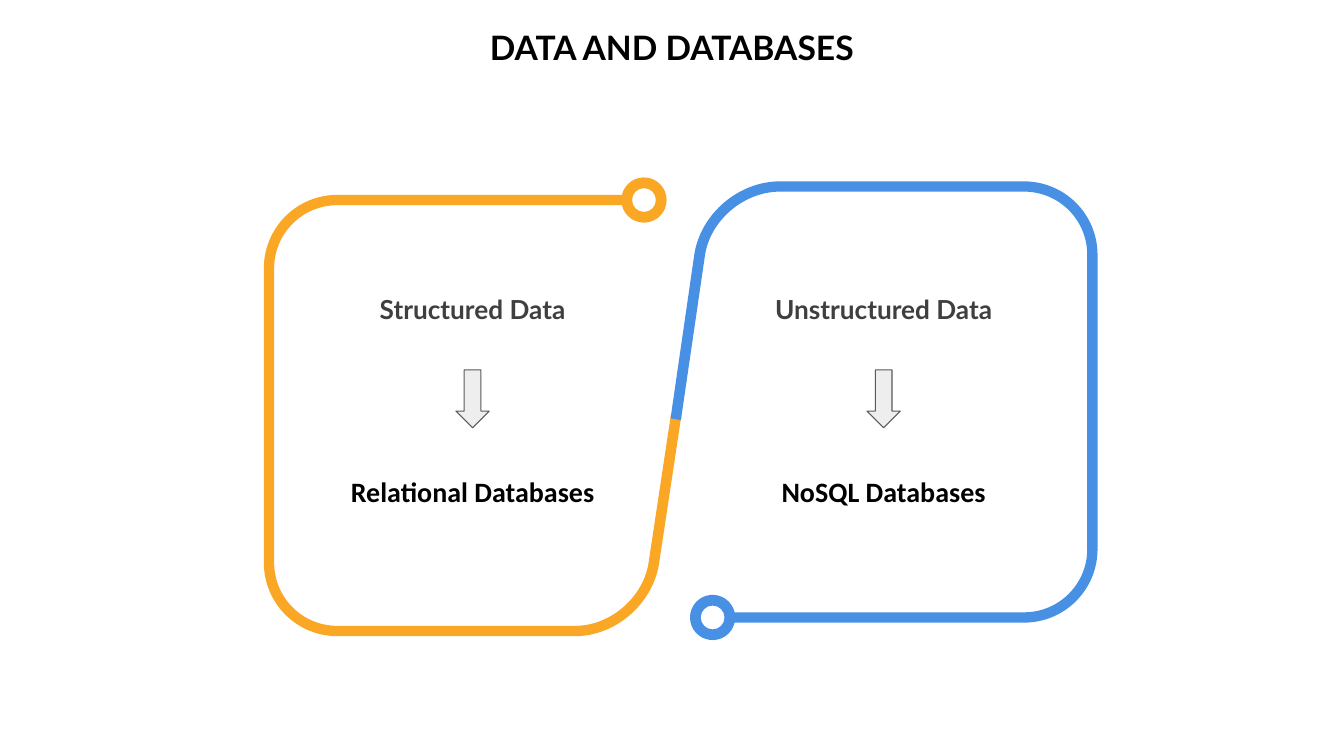
from math import asin, cos, pi, sin, tan

from pptx import Presentation
from pptx.dml.color import RGBColor
from pptx.enum.shapes import MSO_SHAPE
from pptx.enum.text import MSO_ANCHOR, PP_ALIGN
from pptx.oxml.ns import qn
from pptx.util import Cm, Pt

BLACK = RGBColor(0x00, 0x00, 0x00)
CHARCOAL = RGBColor(0x3F, 0x3F, 0x3F)
ARROW_FILL = RGBColor(0xEE, 0xEE, 0xEE)
ARROW_LINE = RGBColor(0x59, 0x59, 0x59)
ORANGE = RGBColor(0xFA, 0xA7, 0x26)
BLUE = RGBColor(0x48, 0x90, 0xE4)

BAND = 0.26
CORNER = 1.85
FRAME_HEIGHT = 11.12
RING_RADIUS = 0.57
HOLE_RADIUS = 0.3


def arc(center, radius, start, end, pieces):
    step = (end - start) / pieces
    handle = radius * 4 / 3 * tan(step / 4)

    def on_circle(angle, tangent=0):
        return (center[0] + radius * cos(angle) - tangent * sin(angle),
                center[1] + radius * sin(angle) + tangent * cos(angle))

    segments = [(on_circle(start),)]
    for piece in range(pieces):
        first = start + piece * step
        last = first + step
        segments.append((on_circle(first, handle), on_circle(last, -handle), on_circle(last)))
    return segments


def frame_contours(stretch, ring_center, tip):
    low = (CORNER, CORNER)
    high = (CORNER, FRAME_HEIGHT - CORNER)
    inner = CORNER - BAND
    ring = (ring_center, FRAME_HEIGHT - BAND / 2)
    gap = asin(BAND / 2 / RING_RADIUS)

    def bend(*points):
        start, *curve = [(u * stretch, v) for u, v in points]
        return [(start,), tuple(curve)]

    outline = (
        bend((7.85, BAND), (8.74, BAND), (9.58, 0.99), (9.7, 1.88))
        + [(tip,), ((tip[0] + BAND, tip[1] - 0.05),)]
        + bend((9.96, 1.83), (9.8, 0.81), (8.86, 0), (7.85, 0))
        + arc(low, CORNER, 1.5 * pi, pi, 2)
        + arc(high, CORNER, pi, pi / 2, 2)
        + arc(ring, RING_RADIUS, pi - gap, gap - pi, 4)
        + arc(high, inner, pi / 2, pi, 1)
        + arc(low, inner, pi, 1.5 * pi, 1)
    )
    return outline, arc(ring, HOLE_RADIUS, 0, 2 * pi, 4)


class SlideBuilder:
    def __init__(self, presentation):
        self.slide = presentation.slides.add_slide(presentation.slide_layouts[6])
        self.shapes = self.slide.shapes

    def text(self, wording, center, top, width, height, font, size, color,
             anchor=MSO_ANCHOR.MIDDLE, spacing=1.07):
        box = self.shapes.add_textbox(Cm(center - width / 2), Cm(top), Cm(width), Cm(height))
        frame = box.text_frame
        frame.word_wrap = True
        frame.vertical_anchor = anchor
        paragraph = frame.paragraphs[0]
        paragraph.text = wording
        paragraph.alignment = PP_ALIGN.CENTER
        paragraph.line_spacing = spacing
        paragraph.font.name = font
        paragraph.font.size = Pt(size)
        paragraph.font.bold = True
        paragraph.font.color.rgb = color

    def arrow(self, center, top):
        width = 0.84
        shape = self.shapes.add_shape(
            MSO_SHAPE.DOWN_ARROW, Cm(center - width / 2), Cm(top), Cm(width), Cm(1.46))
        shape.shadow.inherit = False
        shape.fill.solid()
        shape.fill.fore_color.rgb = ARROW_FILL
        shape.line.color.rgb = ARROW_LINE
        shape.line.width = Pt(0.75)

    def frame(self, corner, direction, stretch, ring_center, tip, color):
        contours = frame_contours(stretch, ring_center, tip)
        builder = None
        for contour in contours:
            start, *vertices = [
                (Cm(corner[0] + direction * u), Cm(corner[1] - direction * v))
                for segment in contour for u, v in segment
            ]
            if builder is None:
                builder = self.shapes.build_freeform(*start, scale=1.0)
            else:
                builder.move_to(*start)
            builder.add_line_segments(vertices, close=True)
        shape = builder.convert_to_shape()
        self.curve(shape, [segment for contour in contours for segment in contour[1:]])
        shape.shadow.inherit = False
        shape.fill.solid()
        shape.fill.fore_color.rgb = color
        shape.line.fill.background()

    def curve(self, shape, segments):
        lines = iter(shape._element.xpath(".//a:lnTo"))
        for segment in segments:
            element = next(lines)
            if len(segment) == 3:
                element.tag = qn("a:cubicBezTo")
                for extra in (next(lines), next(lines)):
                    element.append(extra[0])
                    extra.getparent().remove(extra)


def main():
    presentation = Presentation()
    presentation.slide_width = Cm(33.87)
    presentation.slide_height = Cm(19.05)
    builder = SlideBuilder(presentation)

    builder.text("DATA AND DATABASES", 16.93, 0.56, 11.86, 1.45, "Lato", 24, BLACK,
                 MSO_ANCHOR.TOP, 1.0)
    builder.frame((6.65, 16.03), 1, 1, 9.58, (10.26, 5.59), ORANGE)
    builder.frame((27.66, 4.57), -1, 1.02, 9.7, (10.5, 6.02), BLUE)

    columns = [
        (11.91, "Structured Data", 7.57, "Relational Databases", 6.81),
        (22.27, "Unstructured Data", 6.53, "NoSQL Databases", 5.92),
    ]
    for center, data_kind, data_width, database_kind, database_width in columns:
        builder.text(data_kind, center, 6.78, data_width, 1.98, "Lato", 18.7, CHARCOAL)
        builder.arrow(center, 9.32)
        builder.text(database_kind, center, 11.35, database_width, 1.98, "Calibri", 20, BLACK)

    presentation.save("out.pptx")


if __name__ == "__main__":
    main()
